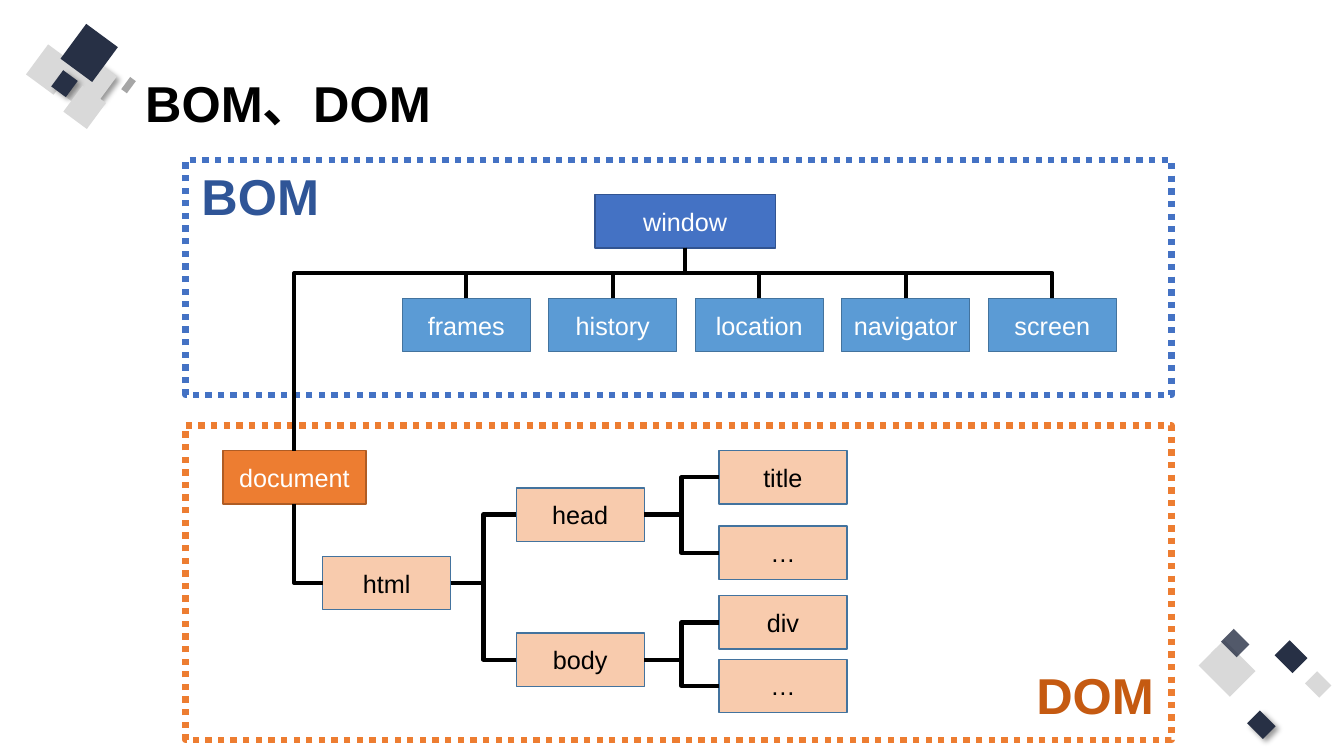
"""Build a slide that relates the BOM object tree to the DOM element tree."""
from dataclasses import dataclass

from lxml import etree
from pptx import Presentation
from pptx.dml.color import RGBColor
from pptx.enum.dml import MSO_LINE
from pptx.enum.shapes import MSO_CONNECTOR, MSO_SHAPE
from pptx.enum.text import MSO_ANCHOR, MSO_AUTO_SIZE, PP_ALIGN
from pptx.oxml.ns import qn
from pptx.util import Inches, Pt

RECT = MSO_SHAPE.RECTANGLE
ELBOW = MSO_CONNECTOR.ELBOW
DOTTED = MSO_LINE.ROUND_DOT
MIDDLE = MSO_ANCHOR.MIDDLE
LEFT, CENTER = PP_ALIGN.LEFT, PP_ALIGN.CENTER
FIXED, GROW = MSO_AUTO_SIZE.NONE, MSO_AUTO_SIZE.SHAPE_TO_FIT_TEXT

TITLE_ONLY = 5
TOP_SITE, LEFT_SITE, BOTTOM_SITE, RIGHT_SITE = range(4)
BOX_WIDTH, BOX_HEIGHT = 1.27, 0.53
BUS_DROP = 0.25


@dataclass(frozen=True)
class Theme:
    """Colours, font and type sizes of the slide."""

    font: str = "Arial"
    heading_size: int = 36
    box_size: int = 18
    black: str = "000000"
    white: str = "FFFFFF"
    navy: str = "273045"
    pale_gray: str = "D9D9D9"
    mid_gray: str = "A6A6A6"
    window: tuple = ("4472C4", "325491", "FFFFFF")
    member: tuple = ("5B9BD5", "43739E", "FFFFFF")
    document: tuple = ("ED7D31", "AF5C24", "FFFFFF")
    element: tuple = ("F8CBAD", "43739E", "000000")
    bom_frame: str = "4472C4"
    bom_label: str = "2F5597"
    dom_frame: str = "ED7D31"
    dom_label: str = "C55A11"


THEME = Theme()


def rgb(code):
    """Turn a hex code into a colour."""
    return RGBColor.from_string(code)


def add_run(paragraph, words, size, color, bold=False):
    """Append one formatted run to a paragraph."""
    run = paragraph.add_run()
    run.text = words
    run.font.name = THEME.font
    run.font.size = Pt(size)
    run.font.bold = bold
    run.font.color.rgb = rgb(color)


def add_rect(shapes, left, top, width, height, fill=None):
    """Add a flat rectangle without outline."""
    rect = shapes.add_shape(RECT, *map(Inches, (left, top, width, height)))
    rect.shadow.inherit = False
    rect.line.fill.background()
    if fill:
        rect.fill.solid()
        rect.fill.fore_color.rgb = rgb(fill)
    else:
        rect.fill.background()
    return rect


def add_alpha(color_element, percent):
    """Give a colour element an opacity."""
    etree.SubElement(color_element, qn("a:alpha"), val=str(percent * 1000))


def cast_shadow(tile):
    """Give a tile a soft shadow towards the lower right."""
    effects = tile._element.spPr.find(qn("a:effectLst"))
    shadow = etree.SubElement(
        effects, qn("a:outerShdw"), blurRad=str(Pt(4)), dist=str(Pt(3)),
        dir="2700000", algn="tl", rotWithShape="0")
    add_alpha(etree.SubElement(shadow, qn("a:srgbClr"), val=THEME.black), 40)


def add_tiles(slide, tiles):
    """Add a group of rotated decorative tiles."""
    group = slide.shapes.add_group_shape()
    for bounds, rotation, color, shadowed, opacity in tiles:
        tile = add_rect(group.shapes, *bounds, color)
        tile.rotation = rotation
        if shadowed:
            cast_shadow(tile)
        if opacity < 100:
            add_alpha(tile._element.spPr.find(".//" + qn("a:srgbClr")), opacity)


def add_decoration(slide):
    """Add the tile clusters in the two corners."""
    navy, pale, mid = THEME.navy, THEME.pale_gray, THEME.mid_gray
    add_tiles(slide, [
        ((1.2, 0.81, 0.15, 0.07), 306.4, mid, False, 100),
        ((0.32, 0.52, 0.37, 0.34), 306.4, pale, False, 100),
        ((0.8, 0.66, 0.31, 0.28), 306.4, pale, True, 100),
        ((0.69, 0.61, 0.19, 0.17), 306.4, pale, False, 100),
        ((0.56, 0.66, 0.33, 0.3), 306.4, pale, False, 100),
        ((0.54, 0.74, 0.2, 0.18), 306.4, navy, True, 100),
        ((0.67, 0.33, 0.43, 0.39), 306.4, navy, False, 100),
        ((0.68, 0.92, 0.32, 0.29), 306.4, pale, False, 100),
    ])
    add_tiles(slide, [
        ((12.7, 6.39, 0.21, 0.25), 315, navy, False, 100),
        ((12.99, 6.69, 0.17, 0.2), 315, pale, False, 100),
        ((11.99, 6.41, 0.36, 0.44), 135, pale, False, 100),
        ((12.42, 7.08, 0.18, 0.22), 135, navy, True, 100),
        ((12.16, 6.27, 0.18, 0.22), 135, navy, False, 80),
    ])


def set_title(slide, words):
    """Place and fill the title placeholder."""
    title = slide.shapes.title
    title.left, title.top, title.width, title.height = map(
        Inches, (1.34, 0.4, 10.55, 1.3))
    frame = title.text_frame
    frame.auto_size = FIXED
    frame.vertical_anchor = MIDDLE
    heading = frame.paragraphs[0]
    heading.alignment = LEFT
    heading.line_spacing = 0.9
    add_run(heading, words, THEME.heading_size, THEME.black, True)


def add_box(slide, name, left, top, colors, width=BOX_WIDTH):
    """Add a named node of the tree."""
    fill, outline, text_color = colors
    box = add_rect(slide.shapes, left, top, width, BOX_HEIGHT, fill)
    box.line.color.rgb = rgb(outline)
    box.line.width = Pt(1)
    box.text_frame.vertical_anchor = MIDDLE
    caption = box.text_frame.paragraphs[0]
    caption.alignment = CENTER
    add_run(caption, name, THEME.box_size, text_color)
    return box


def add_region(slide, top, height, color):
    """Add a dotted frame around one model."""
    region = add_rect(slide.shapes, 1.84, top, 9.78, height)
    region.line.color.rgb = rgb(color)
    region.line.width = Pt(4.5)
    region.line.dash_style = DOTTED


def add_label(slide, words, left, top, color):
    """Add the bold name of a region."""
    label = slide.shapes.add_textbox(*map(Inches, (left, top, 1.38, 0.71)))
    label.text_frame.word_wrap = False
    label.text_frame.auto_size = GROW
    add_run(label.text_frame.paragraphs[0], words, THEME.heading_size, color, True)


def link(slide, start, start_site, end, end_site):
    """Join two boxes with an elbow connector."""
    elbow = slide.shapes.add_connector(ELBOW, 0, 0, 0, 0)
    elbow.begin_connect(start, start_site)
    elbow.end_connect(end, end_site)
    elbow.line.color.rgb = rgb(THEME.black)
    elbow.line.width = Pt(3)
    etree.SubElement(elbow._element.spPr, qn("a:effectLst"))
    return elbow


def link_down(slide, parent, child):
    """Join a parent to a child below it through the shared bus line."""
    elbow = link(slide, parent, BOTTOM_SITE, child, TOP_SITE)
    run, drop = elbow.width, elbow.height
    goes_right = elbow.end_x > elbow.begin_x
    elbow.left += (run - drop) // 2
    elbow.top += (drop - run) // 2
    elbow.width, elbow.height = drop, run
    properties = elbow._element.spPr
    frame = properties.find(qn("a:xfrm"))
    frame.set("rot", "16200000" if goes_right else "5400000")
    frame.set("flipH", "1" if goes_right else "0")
    bend = round(Inches(BUS_DROP) / drop * 100000)
    guides = properties.find(qn("a:prstGeom")).get_or_add_avLst()
    etree.SubElement(guides, qn("a:gd"), name="adj1", fmla=f"val {bend}")


def link_corner(slide, child, parent):
    """Join a child's left side to its parent's bottom with one corner."""
    corner = link(slide, child, LEFT_SITE, parent, BOTTOM_SITE)
    corner._element.spPr.find(qn("a:prstGeom")).set("prst", "bentConnector2")


def main():
    """Build and save the slide."""
    deck = Presentation()
    deck.slide_width, deck.slide_height = Inches(13.33), Inches(7.5)
    slide = deck.slides.add_slide(deck.slide_layouts[TITLE_ONLY])
    add_decoration(slide)
    set_title(slide, "BOM、DOM")
    add_region(slide, 1.59, 2.33, THEME.bom_frame)
    add_label(slide, "BOM", 1.9, 1.59, THEME.bom_label)
    add_region(slide, 4.22, 3.12, THEME.dom_frame)
    add_label(slide, "DOM", 10.18, 6.54, THEME.dom_label)

    window = add_box(slide, "window", 5.9, 1.93, THEME.window, 1.79)
    document = add_box(slide, "document", 2.21, 4.47, THEME.document, 1.42)
    members = ("frames", "history", "location", "navigator", "screen")
    for index, name in enumerate(members):
        member = add_box(slide, name, 3.99 + 1.453 * index, 2.96, THEME.member)
        link_down(slide, window, member)
    link_down(slide, window, document)

    html = add_box(slide, "html", 3.2, 5.52, THEME.element)
    link_corner(slide, html, document)
    branches = (("head", 4.84, (("title", 4.47), ("…", 5.22))),
                ("body", 6.28, (("div", 5.91), ("…", 6.54))))
    for name, top, leaves in branches:
        branch = add_box(slide, name, 5.12, top, THEME.element)
        link(slide, html, RIGHT_SITE, branch, LEFT_SITE)
        for leaf_name, leaf_top in leaves:
            leaf = add_box(slide, leaf_name, 7.13, leaf_top, THEME.element)
            link(slide, branch, RIGHT_SITE, leaf, LEFT_SITE)
    deck.save("out.pptx")


main()
